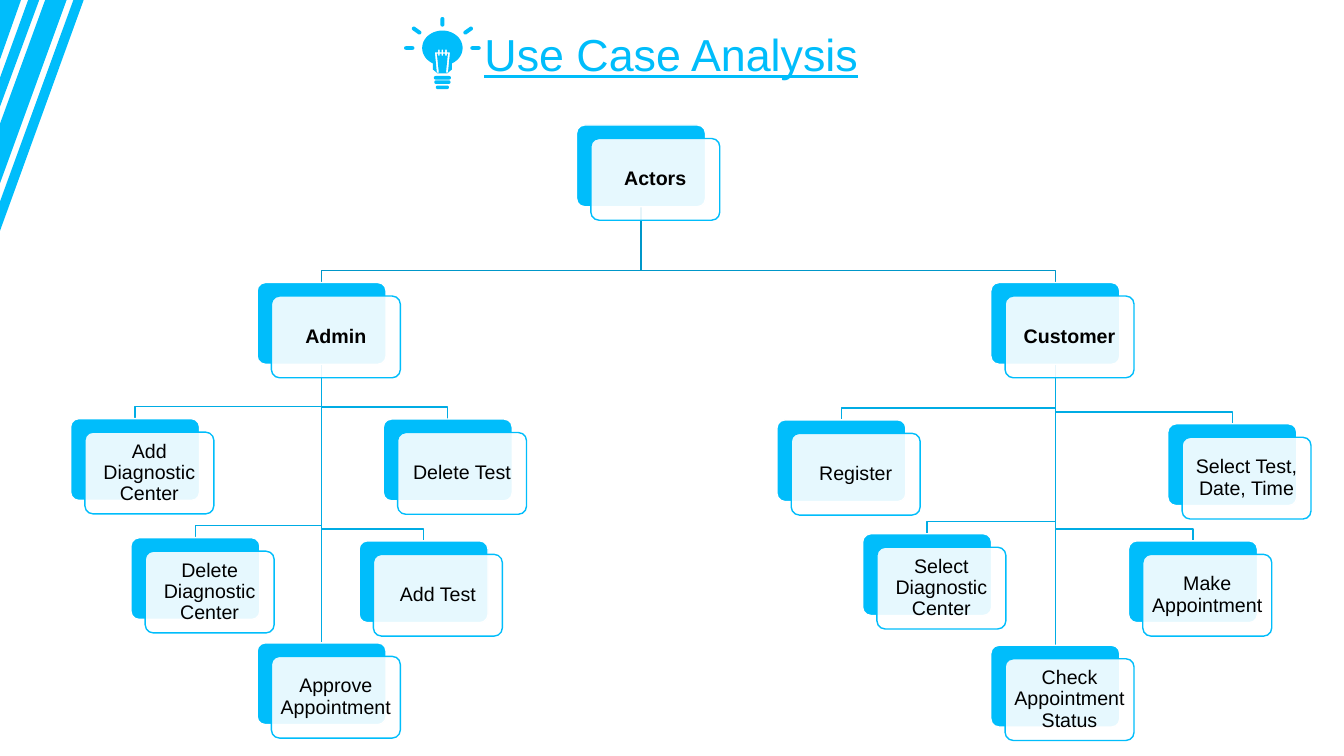
import math

import pptx
import pptx.dml.color
import pptx.enum.shapes
import pptx.enum.text
import pptx.oxml
import pptx.oxml.ns
import pptx.util

Cm = pptx.util.Cm
Pt = pptx.util.Pt
RGBColor = pptx.dml.color.RGBColor

CYAN = RGBColor(0x00, 0xBD, 0xFB)
ROOT_LINK = RGBColor(0x00, 0x97, 0xC9)
LEAF_LINK = RGBColor(0x00, 0xAC, 0xE4)
WHITE = RGBColor(0xFF, 0xFF, 0xFF)
BLACK = RGBColor(0x00, 0x00, 0x00)

# Label, left and top of the back card in cm, parent label
ACTORS = [
    ("Actors", 14.53, 3.15, None),
    ("Admin", 6.48, 7.12, "Actors"),
    ("Approve Appointment", 6.48, 16.2, "Admin"),
    ("Delete Diagnostic Center", 3.3, 13.55, "Admin"),
    ("Add Diagnostic Center", 1.78, 10.55, "Admin"),
    ("Add Test", 9.05, 13.63, "Admin"),
    ("Delete Test", 9.66, 10.56, "Admin"),
    ("Customer", 24.97, 7.12, "Actors"),
    ("Select Diagnostic Center", 21.74, 13.45, "Customer"),
    ("Register", 19.58, 10.58, "Customer"),
    ("Check Appointment Status", 24.97, 16.26, "Customer"),
    ("Select Test, Date, Time", 29.43, 10.68, "Customer"),
    ("Make Appointment", 28.44, 13.63, "Customer"),
]

STRIPES = [
    [(1.85, 0), (2.11, 0), (0, 5.82), (0, 5.08)],
    [(0.99, 0), (0, 2.69), (0, 1.96), (0.71, 0)],
    [(1.68, 0), (0, 4.62), (0, 3.12), (1.14, 0)],
    [(0, 0), (0.53, 0), (0, 1.5)],
]


def arc(x, y, radius_x, radius_y, start, end, steps):
    angles = [math.radians(start + (end - start) * i / steps) for i in range(steps + 1)]
    return [(x + radius_x * math.cos(a), y + radius_y * math.sin(a)) for a in angles]


def capsule(x1, y1, x2, y2, radius):
    """Outline of a bar with round ends between two points."""
    heading = math.degrees(math.atan2(y2 - y1, x2 - x1))
    return (arc(x2, y2, radius, radius, heading - 90, heading + 90, 8)
            + arc(x1, y1, radius, radius, heading + 90, heading + 270, 8))


def bulb_contours(x, y):
    """Glass, filament opening, base bars and rays around the glass centre."""
    glass = arc(x, y, 0.51, 0.44, 118, 422, 40)
    neck = [(x + 0.24, y + 0.54), (x + 0.12, y + 0.64),
            (x - 0.12, y + 0.64), (x - 0.24, y + 0.54)]

    teeth = (-0.09, 0, 0.09)
    crest = [(x + t + dx, y + dy) for t in teeth
             for dx, dy in ((-0.02, 0.11), (-0.02, 0.04), (0.02, 0.04), (0.02, 0.11))]
    trough = [(x + t + dx, y + dy) for t in reversed(teeth)
              for dx, dy in ((0.02, 0.14), (0.02, 0.19), (-0.02, 0.19), (-0.02, 0.14))]
    right_leg = [(x + 0.19, y + 0.11), (x + 0.14, y + 0.62),
                 (x + 0.09, y + 0.62), (x + 0.14, y + 0.14)]
    left_leg = [(2 * x - px, py) for px, py in reversed(right_leg)]
    filament = crest + right_leg + trough + left_leg

    bars = [capsule(x - half, y + dy, x + half, y + dy, 0.045)
            for half, dy in ((0.17, 0.75), (0.16, 0.86), (0.12, 0.99))]
    rays = [capsule(x, y - 0.73, x, y - 0.59, 0.05)]
    for side in (-1, 1):
        rays.append(capsule(x + side * 0.75, y, x + side * 0.92, y, 0.045))
        rays.append(capsule(x + side * 0.58, y - 0.39, x + side * 0.72, y - 0.49, 0.05))
    return [glass + neck, filament] + bars + rays


class ActorSlide:
    font_name = "Arial"
    card_width, card_height = 3.25, 2.06
    card_shift_x, card_shift_y = 0.36, 0.34
    bend_height = 0.3

    def __init__(self, presentation):
        self.slide = presentation.slides.add_slide(presentation.slide_layouts[6])
        self.shapes = self.slide.shapes

    def freeform(self, contours, close=True):
        contours = [[(Cm(x), Cm(y)) for x, y in contour] for contour in contours]
        builder = self.shapes.build_freeform(*contours[0][0])
        for index, contour in enumerate(contours):
            if index:
                builder.move_to(*contour[0])
            builder.add_line_segments(contour[1:], close=close)
        shape = builder.convert_to_shape()
        shape.shadow.inherit = False
        return shape

    def silhouette(self, contours):
        shape = self.freeform(contours)
        shape.fill.solid()
        shape.fill.fore_color.rgb = CYAN
        shape.line.fill.background()

    def link(self, parent, child, color):
        """Line from the foot of one back card to the head of another."""
        x1, y1 = parent[0] + self.card_width / 2, parent[1] + self.card_height
        x2, y2 = child[0] + self.card_width / 2, child[1]
        if x1 == x2:
            shape = self.shapes.add_connector(
                pptx.enum.shapes.MSO_CONNECTOR.STRAIGHT, Cm(x1), Cm(y1), Cm(x2), Cm(y2))
            shape._element.spPr.append(pptx.oxml.parse_xml(
                "<a:effectLst %s/>" % pptx.oxml.ns.nsdecls("a")))
        else:
            bend = y2 - self.bend_height
            shape = self.freeform([[(x1, y1), (x1, bend), (x2, bend), (x2, y2)]], close=False)
            shape.fill.background()
        shape.line.color.rgb = color
        shape.line.width = Pt(1)

    def panel(self, left, top, fill, line):
        shape = self.shapes.add_shape(
            pptx.enum.shapes.MSO_SHAPE.ROUNDED_RECTANGLE,
            Cm(left), Cm(top), Cm(self.card_width), Cm(self.card_height))
        shape.adjustments[0] = 0.1
        shape.shadow.inherit = False
        shape.fill.solid()
        shape.fill.fore_color.rgb = fill
        shape.line.color.rgb = line
        shape.line.width = Pt(1)
        return shape

    def card(self, label, left, top, bold):
        self.panel(left, top, CYAN, WHITE)
        front = self.panel(left + self.card_shift_x, top + self.card_shift_y, WHITE, CYAN)
        color = front._element.spPr.find(".//" + pptx.oxml.ns.qn("a:srgbClr"))
        color.append(pptx.oxml.parse_xml(
            '<a:alpha %s val="90000"/>' % pptx.oxml.ns.nsdecls("a")))
        self.label(front, label, 14, BLACK, 0.1, bold=bold)

    def label(self, shape, text, size, color, margin, bold=False, underline=False):
        frame = shape.text_frame
        frame.word_wrap = True
        frame.vertical_anchor = pptx.enum.text.MSO_ANCHOR.MIDDLE
        frame.margin_left = frame.margin_right = Cm(margin)
        frame.margin_top = frame.margin_bottom = Cm(margin)
        paragraph = frame.paragraphs[0]
        paragraph.text = text
        paragraph.alignment = pptx.enum.text.PP_ALIGN.CENTER
        paragraph.line_spacing = 0.9
        font = paragraph.font
        font.name = self.font_name
        font.size = Pt(size)
        font.color.rgb = color
        font.bold = bold
        font.underline = underline

    def title(self, text):
        box = self.shapes.add_textbox(Cm(5.21), Cm(0.43), Cm(23.42), Cm(2.01))
        self.label(box, text, 32, CYAN, 0.2, underline=True)


def main():
    presentation = pptx.Presentation()
    presentation.slide_width = Cm(33.87)
    presentation.slide_height = Cm(19.05)

    page = ActorSlide(presentation)
    page.silhouette(STRIPES)
    page.title("Use Case Analysis")
    page.silhouette(bulb_contours(11.15, 1.21))

    places = {label: (left, top) for label, left, top, _ in ACTORS}
    for label, _, _, parent in ACTORS:
        if parent:
            color = ROOT_LINK if parent == "Actors" else LEAF_LINK
            page.link(places[parent], places[label], color)
    for label, left, top, parent in ACTORS:
        page.card(label, left, top, bold=parent in (None, "Actors"))

    presentation.save("out.pptx")


if __name__ == "__main__":
    main()
